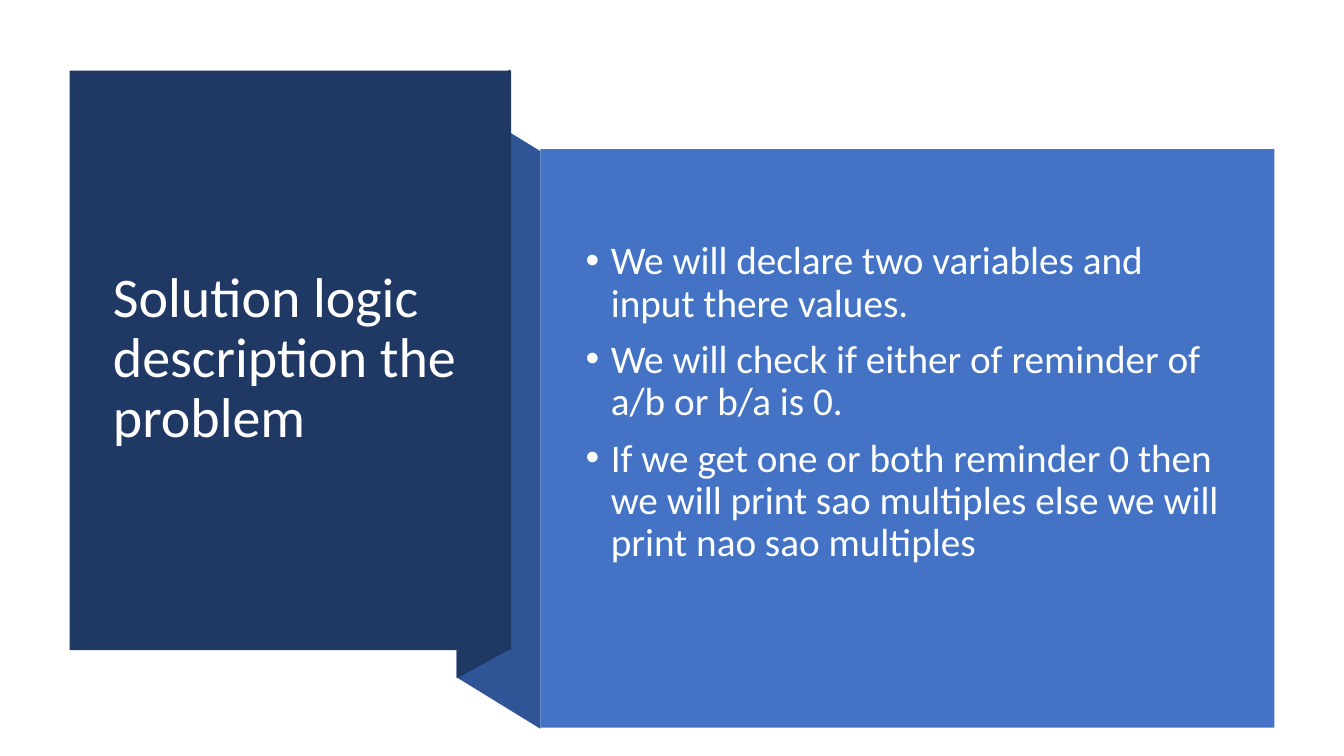
import pptx
import pptx.dml.color
import pptx.enum.text
import pptx.oxml.ns
import pptx.util
from lxml import etree

PX = 9144  # EMU per px, 100 px to the inch
COLORS = {
    "navy": "203864",
    "fold": "2F5597",
    "panel": "4472C4",
    "title": "FFFFFF",
    "body": "FEFFFF",
}


def rgb(name):
    return pptx.dml.color.RGBColor.from_string(COLORS[name])


def write_text(frame, lines, *, size, color, font="Calibri", before=0, bullet=False, bottom=5):
    """Fill a text frame with one paragraph per line."""
    frame.word_wrap = True
    frame.auto_size = pptx.enum.text.MSO_AUTO_SIZE.NONE
    frame.vertical_anchor = pptx.enum.text.MSO_ANCHOR.MIDDLE
    frame.margin_left = frame.margin_right = 10 * PX
    frame.margin_top, frame.margin_bottom = 5 * PX, bottom * PX
    for index, line in enumerate(lines):
        paragraph = frame.add_paragraph() if index else frame.paragraphs[0]
        paragraph.alignment = pptx.enum.text.PP_ALIGN.LEFT
        paragraph.line_spacing = 0.9
        paragraph.space_before = pptx.util.Pt(before)
        run = paragraph.add_run()
        run.text = line
        run.font.name = font
        run.font.size = pptx.util.Pt(size)
        run.font.color.rgb = rgb(color)
        if bullet:
            properties = paragraph._p.get_or_add_pPr()
            properties.set("marL", str(25 * PX))
            properties.set("indent", str(-25 * PX))
            for tag, key, value in (("a:buFont", "typeface", "Arial"), ("a:buChar", "char", "•")):
                etree.SubElement(properties, pptx.oxml.ns.qn(tag)).set(key, value)


class RibbonSlide:
    def __init__(self, presentation):
        self.slide = presentation.slides.add_slide(presentation.slide_layouts[5])
        self.shapes = self.slide.shapes

    def paint(self, shape, color):
        shape.shadow.inherit = False
        shape.fill.solid()
        shape.fill.fore_color.rgb = rgb(color)
        shape.line.fill.background()

    def fold(self, points, color):
        builder = self.shapes.build_freeform(*points[0], scale=PX)
        builder.add_line_segments(points[1:], close=True)
        self.paint(builder.convert_to_shape(), color)

    def block(self, left, top, width, height, color):
        kind = pptx.enum.shapes.MSO_SHAPE.RECTANGLE
        box = [value * PX for value in (left, top, width, height)]
        self.paint(self.shapes.add_shape(kind, *box), color)

    def title(self, left, top, width, height, text, **style):
        heading = self.shapes.title
        heading.left, heading.top = left * PX, top * PX
        heading.width, heading.height = width * PX, height * PX
        write_text(heading.text_frame, [text], **style)
        # Bring the heading in front of its block
        heading.element.getparent().append(heading.element)

    def bullets(self, left, top, width, height, lines, **style):
        box = [value * PX for value in (left, top, width, height)]
        frame = self.shapes.add_textbox(*box).text_frame
        write_text(frame, lines, bullet=True, **style)


def main():
    presentation = pptx.Presentation()
    presentation.slide_width = 1333 * PX
    presentation.slide_height = 750 * PX
    ribbon = RibbonSlide(presentation)

    # Folded ribbon behind the two blocks
    ribbon.fold([(536, 723), (453, 672), (453, 99), (536, 150)], "fold")
    ribbon.fold([(506, 644), (453, 673), (453, 98), (506, 69)], "navy")

    # Heading block
    ribbon.block(69, 70, 438, 575, "navy")
    ribbon.title(102, 107, 371, 499, "Solution logic description the problem",
                 size=40, color="title")

    # Solution steps; the deeper bottom margin lifts the centred text
    ribbon.block(536, 148, 728, 574, "panel")
    steps = [
        "We will declare two variables and input there values.",
        "We will check if either of reminder of a/b or b/a is 0.",
        "If we get one or both reminder 0 then we will print sao multiples "
        "else we will print nao sao multiples",
    ]
    ribbon.bullets(571, 188, 651, 474, steps, size=28, color="body", before=10, bottom=55)

    presentation.save("out.pptx")


if __name__ == "__main__":
    main()
